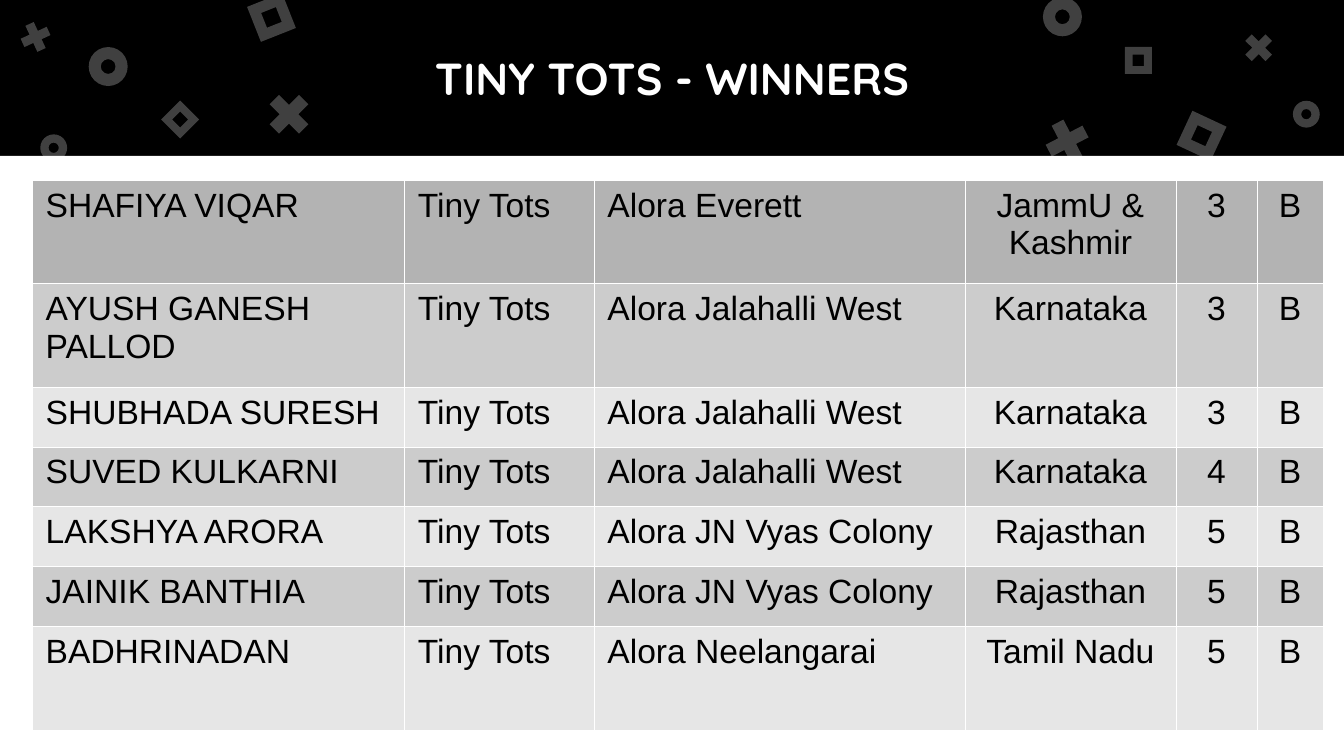
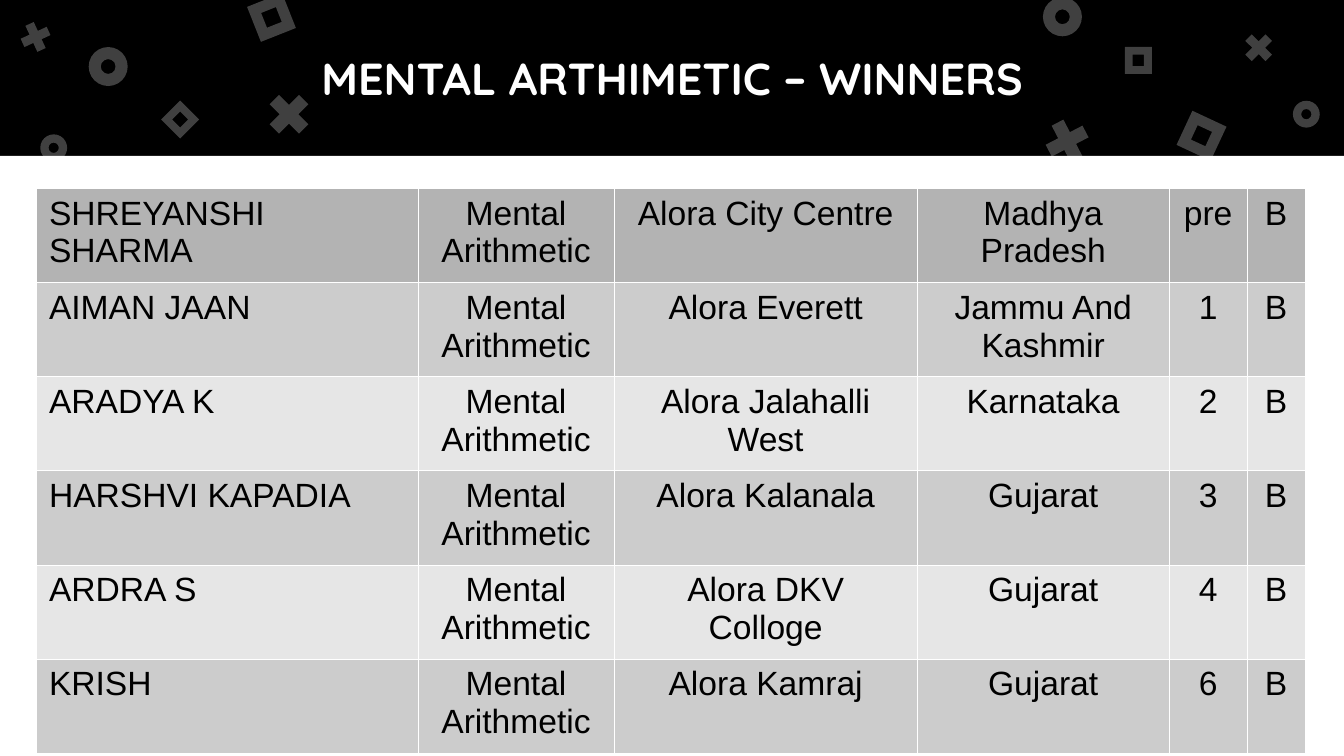
import pptx
import pptx.dml.color
import pptx.enum.shapes
import pptx.enum.text
import pptx.oxml
import pptx.oxml.ns
import pptx.util

RGBColor = pptx.dml.color.RGBColor
SHAPE = pptx.enum.shapes.MSO_SHAPE
ALIGN = pptx.enum.text.PP_ALIGN
ANCHOR = pptx.enum.text.MSO_ANCHOR
qn = pptx.oxml.ns.qn

BLACK = RGBColor(0x00, 0x00, 0x00)
WHITE = RGBColor(0xFF, 0xFF, 0xFF)
GREEN = RGBColor(0x7B, 0xD1, 0x00)
TOP_ROW = RGBColor(0xB3, 0xB3, 0xB3)
ROW_BANDS = [RGBColor(0xCC, 0xCC, 0xCC), RGBColor(0xE6, 0xE6, 0xE6)]

PX = 4572
WIDTH, HEIGHT, BAND_HEIGHT = 2000, 1125, 232
ORNAMENT_OPACITY = 25
BORDER_WIDTH = 0.06

TITLE_FONT = {"name": "Quicksand", "size": pptx.util.Pt(24), "bold": True}
CELL_FONT = {"name": "Arial", "size": pptx.util.Pt(18), "bold": False}

ADJUSTMENT = {SHAPE.DONUT: 0.31, SHAPE.MATH_MULTIPLY: 0.235, SHAPE.FRAME: 0.289}
ORNAMENTS = [
    (SHAPE.DONUT, 132, 70, 58, 0),
    (SHAPE.MATH_MULTIPLY, 388, 128, 84, 0),
    (SHAPE.FRAME, 376, -2, 56, 338.4),
    (SHAPE.DONUT, 1552, -4, 58, 0),
    (SHAPE.MATH_MULTIPLY, 1546, 168, 84, 17.5),
    (SHAPE.FRAME, 1760, 174, 56, 25),
    (SHAPE.DONUT, 60, 200, 40, 0),
    (SHAPE.MATH_MULTIPLY, 24, 26, 58, 20.4),
    (SHAPE.FRAME, 248, 158, 40, 45),
    (SHAPE.DONUT, 1924, 150, 40, 0),
    (SHAPE.MATH_MULTIPLY, 1844, 42, 58, 0),
    (SHAPE.FRAME, 1674, 70, 40, 0),
]

TINY_TOTS = [
    ("SHAFIYA VIQAR", "Alora Everett", "JammU & Kashmir", "3"),
    ("AYUSH GANESH PALLOD", "Alora Jalahalli West", "Karnataka", "3"),
    ("SHUBHADA SURESH", "Alora Jalahalli West", "Karnataka", "3"),
    ("SUVED KULKARNI", "Alora Jalahalli West", "Karnataka", "4"),
    ("LAKSHYA ARORA", "Alora JN Vyas Colony", "Rajasthan", "5"),
    ("JAINIK BANTHIA", "Alora JN Vyas Colony", "Rajasthan", "5"),
    ("BADHRINADAN", "Alora Neelangarai", "Tamil Nadu", "5"),
]
MENTAL_ARITHMETIC = [
    ("SHREYANSHI SHARMA", "Alora City Centre", "Madhya Pradesh", "pre"),
    ("AIMAN JAAN", "Alora Everett", "Jammu And Kashmir", "1"),
    ("ARADYA K", "Alora Jalahalli West", "Karnataka", "2"),
    ("HARSHVI KAPADIA", "Alora Kalanala", "Gujarat", "3"),
    ("ARDRA S", "Alora DKV Colloge", "Gujarat", "4"),
    ("KRISH", "Alora Kamraj", "Gujarat", "6"),
]


def set_all(target, values):
    for name, value in values.items():
        setattr(target, name, value)


def winner_rows(winners, category):
    return [(name, category, centre, state, level, "B")
            for name, centre, state, level in winners]


class Deck:
    def __init__(self):
        self.presentation = pptx.Presentation()
        self.presentation.slide_width = WIDTH * PX
        self.presentation.slide_height = HEIGHT * PX
        self.slide = None

    def new_slide(self, title):
        self.slide = self.presentation.slides.add_slide(self.presentation.slide_layouts[6])
        background = self.slide.background.fill
        background.solid()
        background.fore_color.rgb = GREEN
        self.shape(SHAPE.RECTANGLE, 0, 0, WIDTH, BAND_HEIGHT, BLACK)
        self.shape(SHAPE.RECTANGLE, 0, BAND_HEIGHT, WIDTH, HEIGHT - BAND_HEIGHT, WHITE)
        for ornament in ORNAMENTS:
            self.ornament(*ornament)
        self.title(title)

    def shape(self, kind, left, top, width, height, color):
        shape = self.slide.shapes.add_shape(kind, left * PX, top * PX, width * PX, height * PX)
        shape.shadow.inherit = False
        shape.fill.solid()
        shape.fill.fore_color.rgb = color
        shape.line.fill.background()
        return shape

    def ornament(self, kind, left, top, size, rotation):
        shape = self.shape(kind, left, top, size, size, WHITE)
        shape.rotation = rotation
        shape.adjustments[0] = ADJUSTMENT[kind]
        color = shape._element.spPr.find(qn("a:solidFill")).find(qn("a:srgbClr"))
        alpha = pptx.oxml.parse_xml(
            f'<a:alpha {pptx.oxml.ns.nsdecls("a")} val="{ORNAMENT_OPACITY * 1000}"/>')
        color.append(alpha)

    def text(self, frame, text, font, color, alignment):
        paragraph = frame.paragraphs[0]
        paragraph.alignment = alignment
        run = paragraph.add_run()
        run.text = text
        set_all(run.font, font)
        run.font.color.rgb = color

    def title(self, text):
        box = self.slide.shapes.add_textbox(100 * PX, 0, 1800 * PX, BAND_HEIGHT * PX)
        margins = dict.fromkeys(
            ["margin_left", "margin_top", "margin_right", "margin_bottom"], 20 * PX)
        set_all(box.text_frame,
                {"word_wrap": True, "vertical_anchor": ANCHOR.MIDDLE, **margins})
        self.text(box.text_frame, text, TITLE_FONT, WHITE, ALIGN.CENTER)

    def border(self, cell):
        properties = cell._tc.get_or_add_tcPr()
        for side in ("lnL", "lnR", "lnT", "lnB"):
            properties.append(pptx.oxml.parse_xml(
                f'<a:{side} {pptx.oxml.ns.nsdecls("a")} w="{pptx.util.Pt(BORDER_WIDTH)}">'
                f'<a:solidFill><a:srgbClr val="{WHITE}"/></a:solidFill></a:{side}>'))

    def table(self, left, top, height, widths, row_heights, rows, left_columns):
        frame = self.slide.shapes.add_table(
            len(rows), len(widths), left * PX, top * PX, sum(widths) * PX, height * PX)
        table = frame.table
        set_all(table, {"first_row": False, "horz_banding": False})
        for column, width in zip(table.columns, widths):
            column.width = width * PX
        for row, row_height in zip(table.rows, row_heights):
            row.height = row_height * PX
        frame.height = height * PX
        margins = {"margin_left": 20 * PX, "margin_right": 20 * PX,
                   "margin_top": 10 * PX, "margin_bottom": 10 * PX}
        for row_index, row in enumerate(rows):
            color = ROW_BANDS[(row_index - 1) % 2] if row_index else TOP_ROW
            for column_index, text in enumerate(row):
                cell = table.cell(row_index, column_index)
                set_all(cell, margins)
                self.border(cell)
                cell.fill.solid()
                cell.fill.fore_color.rgb = color
                alignment = ALIGN.LEFT if column_index < left_columns else ALIGN.CENTER
                self.text(cell.text_frame, text, CELL_FONT, BLACK, alignment)


def main():
    deck = Deck()
    deck.new_slide("TINY TOTS - WINNERS")
    deck.table(48, 268, 818, [554, 282, 552, 314, 121, 98],
               [154, 154, 89, 89, 89, 89, 154],
               winner_rows(TINY_TOTS, "Tiny Tots"), 3)
    deck.new_slide("MENTAL ARTHIMETIC – WINNERS")
    deck.table(53, 280, 460, [569, 292, 451, 375, 116, 86], [76, 0, 0, 0, 0, 0],
               winner_rows(MENTAL_ARITHMETIC, "Mental Arithmetic"), 1)
    deck.presentation.save("out.pptx")


if __name__ == "__main__":
    main()
